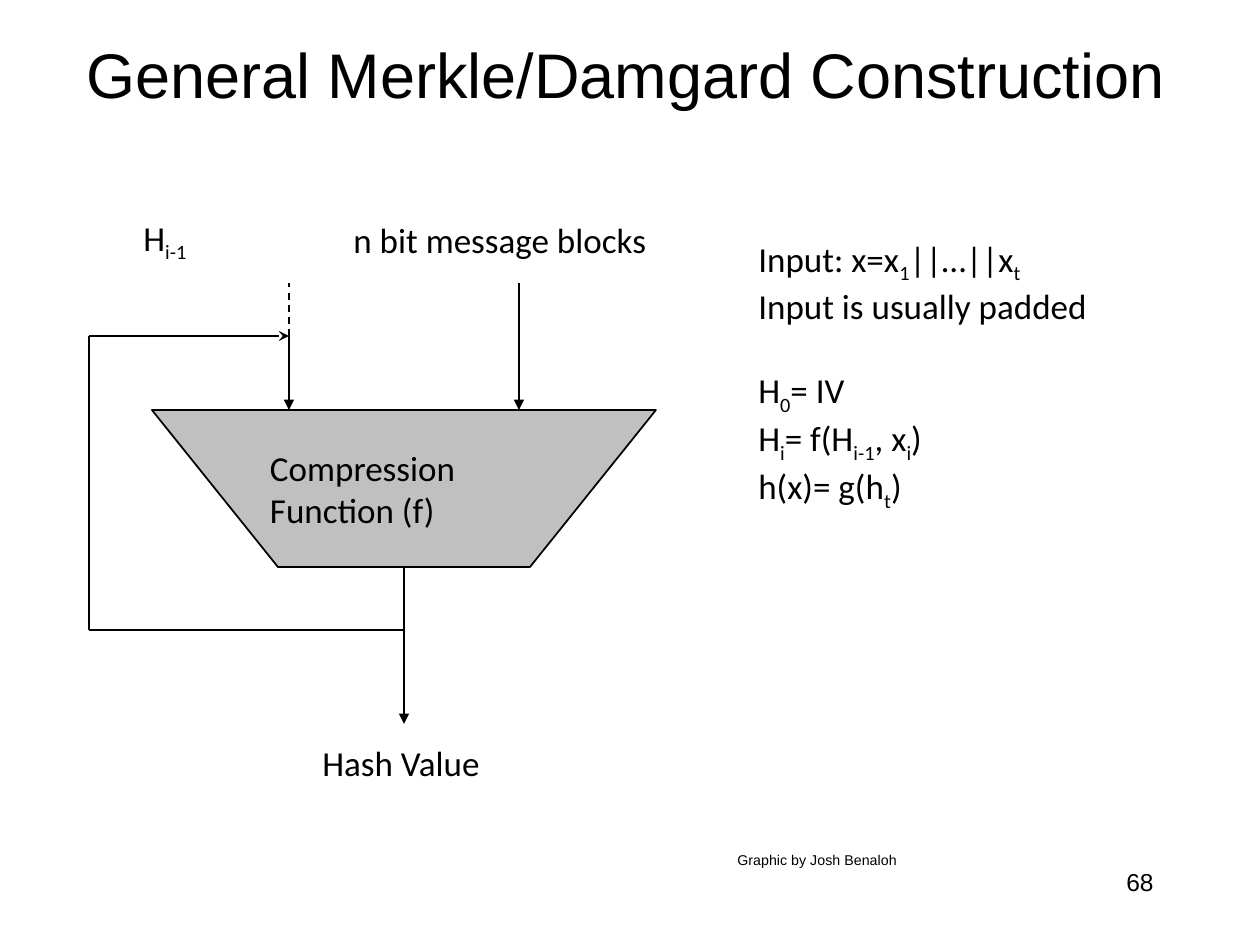
from dataclasses import dataclass
from lxml import etree
from pptx import Presentation
from pptx.dml.color import RGBColor
from pptx.enum.dml import MSO_LINE
from pptx.enum.shapes import MSO_CONNECTOR
from pptx.enum.text import MSO_ANCHOR, PP_ALIGN
from pptx.oxml.ns import qn
from pptx.util import Pt

STRAIGHT = MSO_CONNECTOR.STRAIGHT
DASH = MSO_LINE.DASH
MIDDLE = MSO_ANCHOR.MIDDLE
LEFT, CENTER, RIGHT = PP_ALIGN.LEFT, PP_ALIGN.CENTER, PP_ALIGN.RIGHT
SCALE = 914400 / 126


@dataclass(frozen=True)
class Theme:
    ink: RGBColor = RGBColor(0, 0, 0)
    gray: RGBColor = RGBColor(192, 192, 192)
    head: str = "Arial"
    body: str = "Calibri"
    title: int = 36
    text: int = 20
    small: int = 14
    line: int = 1


THEME = Theme()


def px(*nums):
    return [round(n * SCALE) for n in nums]


def style(run, face, size):
    run.font.name = face
    run.font.size = Pt(size)
    run.font.color.rgb = THEME.ink


def write(frame, lines, face=THEME.body, size=THEME.text, align=LEFT):
    """Each underscore in a line switches subscript on or off."""
    for row, line in enumerate(lines):
        para = frame.add_paragraph() if row else frame.paragraphs[0]
        para.alignment = align
        for part, text in enumerate(line.split("_")):
            if not text:
                continue
            run = para.add_run()
            run.text = text
            style(run, face, size)
            if part % 2:
                run._r.get_or_add_rPr().set("baseline", "-25000")


def label(slide, box, lines, wrap=False, **look):
    frame = slide.shapes.add_textbox(*px(*box)).text_frame
    frame.word_wrap = wrap
    write(frame, lines, **look)
    return frame


def wire(slide, start, end, tip=None, dash=None):
    line = slide.shapes.add_connector(STRAIGHT, *px(*start, *end))
    line.line.color.rgb = THEME.ink
    line.line.width = Pt(THEME.line)
    if dash:
        line.line.dash_style = dash
    if tip:
        etree.SubElement(line.line._get_or_add_ln(), qn("a:tailEnd"), type=tip)
    etree.SubElement(line._element.spPr, qn("a:effectLst"))


def heading(slide, box):
    title = slide.shapes.title
    title.left, title.top, title.width, title.height = px(*box)
    frame = title.text_frame
    frame.text = "General Merkle/Damgard Construction"
    frame.vertical_anchor = MIDDLE
    para = frame.paragraphs[0]
    para.alignment = CENTER
    style(para.runs[0], THEME.head, THEME.title)


def funnel(slide, box):
    x, y, w, h = box
    slope = w // 4
    pen = slide.shapes.build_freeform(x, y, scale=SCALE)
    pen.add_line_segments(
        [(x + slope, y + h), (x + w - slope, y + h), (x + w, y)], close=True
    )
    shape = pen.convert_to_shape()
    shape.shadow.inherit = False
    shape.fill.solid()
    shape.fill.fore_color.rgb = THEME.gray
    shape.line.color.rgb = THEME.ink
    shape.line.width = Pt(THEME.line)
    frame = shape.text_frame
    frame.word_wrap = True
    frame.vertical_anchor = MIDDLE
    frame.margin_left = px(118)[0]
    write(frame, ["Compression", "Function (f)"])


def diagram(slide, box):
    x, y = box[:2]

    def at(dx, dy):
        return x + dx, y + dy

    funnel(slide, (*at(63, 200), 504, 157))
    join, turn, low = at(200, 126), at(0, 126), at(0, 420)
    wire(slide, at(315, 357), at(315, 514), "triangle")
    wire(slide, at(430, 73), at(430, 200), "triangle")
    wire(slide, join, at(200, 200), "triangle")
    wire(slide, turn, join, "stealth")
    wire(slide, turn, low)
    wire(slide, low, at(315, 420))
    wire(slide, join, at(200, 73), dash=DASH)
    label(slide, (*at(42, 0), 72, 55), ["H_i-1"])
    label(slide, (*at(252, 2), 321, 55), ["n bit message blocks"])
    label(slide, (*at(221, 525), 184, 55), ["Hash Value"])


def rules(slide, box):
    frame = label(
        slide,
        box,
        [
            "Input: x=x_1_||…||x_t",
            "Input is usually padded",
            "H_0_= IV",
            "H_i_= f(H_i-1_, x_i_)",
            "h(x)= g(h_t_)",
        ],
        wrap=True,
    )
    frame.paragraphs[2].space_before = Pt(24)


def footer(slide, box):
    x, y = box[:2]
    look = {"wrap": True, "face": THEME.head, "size": THEME.small}
    label(slide, (x, y, 353, 32), ["_Graphic by Josh Benaloh"], **look)
    label(slide, (x + 179, y + 32, 262, 63), ["68"], align=RIGHT, **look)


def main():
    deck = Presentation()
    deck.slide_width, deck.slide_height = px(1260, 945)
    slide = deck.slides.add_slide(deck.slide_layouts[5])
    heading(slide, (32, 21, 1187, 105))
    diagram(slide, (89, 210, 573, 580))
    rules(slide, (746, 231, 431, 265))
    footer(slide, (725, 829, 441, 95))
    deck.save("out.pptx")


if __name__ == "__main__":
    main()
